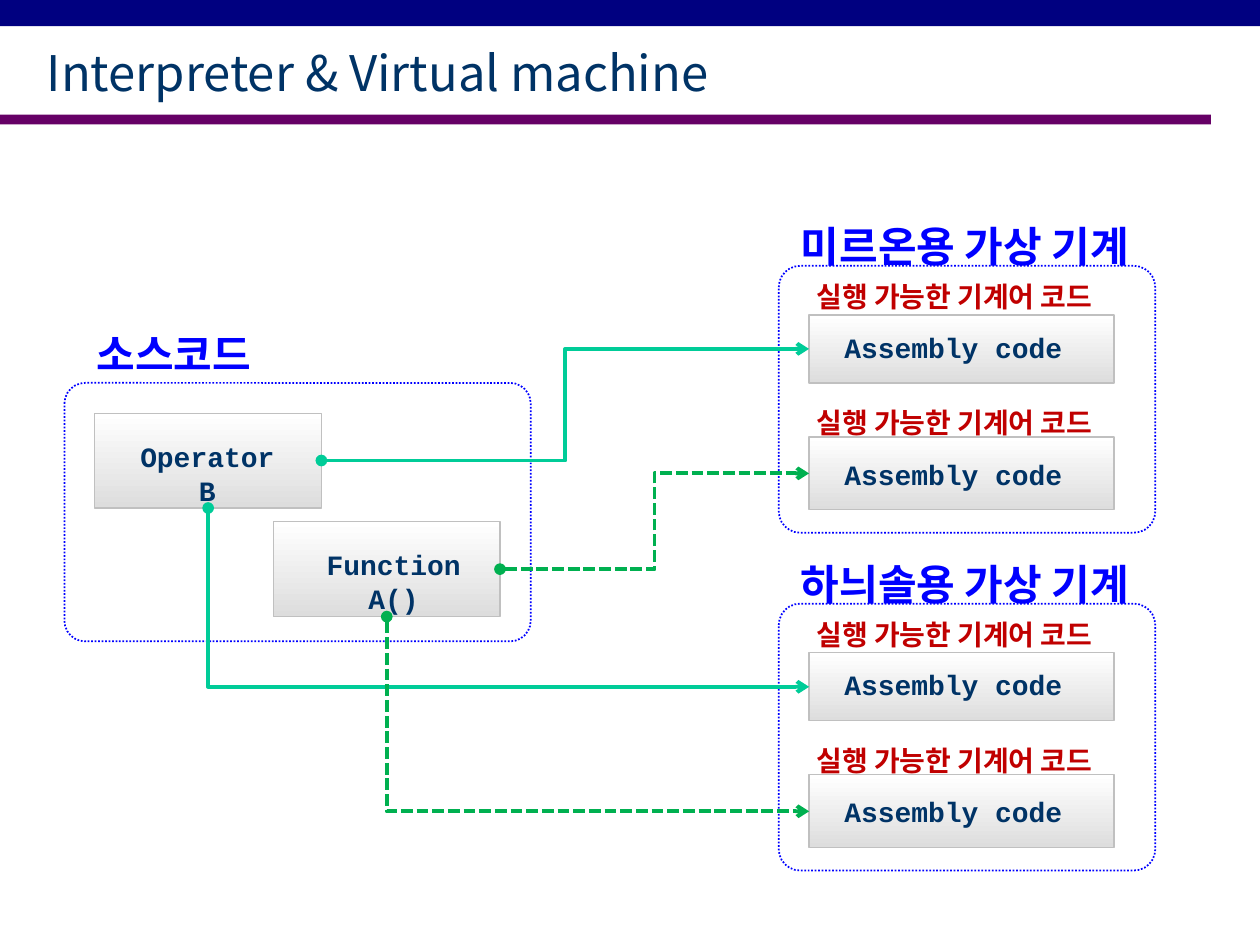
from lxml import etree
from pptx import Presentation
from pptx.dml.color import RGBColor
from pptx.enum.dml import MSO_LINE
from pptx.enum.shapes import MSO_CONNECTOR, MSO_SHAPE
from pptx.enum.text import MSO_ANCHOR, MSO_AUTO_SIZE, PP_ALIGN
from pptx.oxml.ns import qn
from pptx.util import Cm, Pt

RECTANGLE = MSO_SHAPE.RECTANGLE
ROUNDED = MSO_SHAPE.ROUNDED_RECTANGLE
ELBOW = MSO_CONNECTOR.ELBOW
DOTTED = MSO_LINE.ROUND_DOT
DASHED = MSO_LINE.SQUARE_DOT
LEFT, CENTER = PP_ALIGN.LEFT, PP_ALIGN.CENTER
MIDDLE = MSO_ANCHOR.MIDDLE
GROW = MSO_AUTO_SIZE.SHAPE_TO_FIT_TEXT
LEFT_SIDE, BOTTOM_SIDE, RIGHT_SIDE = 1, 2, 3
SANS, MONO = "Noto Sans CJK KR", "Courier New"
MACHINE_STEP = 6.81
COLORS = {
    "navy": "000080",
    "purple": "660066",
    "ink": "003366",
    "blue": "0000FF",
    "red": "C00000",
    "border": "C0C0C0",
    "light": "FFFFFF",
    "shade": "DDDDDD",
    "teal": "00CC98",
    "green": "00B050",
}


def color(name):
    """Return the named colour."""
    return RGBColor.from_string(COLORS[name])


def add_span(para, text, size, font, ink, bold=True):
    """Add one formatted run, with the font set for Korean too."""
    span = para.add_run()
    span.text = text
    span.font.size = Pt(size)
    span.font.name = font
    span.font.bold = bold
    span.font.color.rgb = color(ink)
    etree.SubElement(span.font._element, qn("a:ea"), typeface=font)


def add_title(page, text):
    """Place and fill the title placeholder."""
    title = page.shapes.title
    title.left, title.top, title.width, title.height = Cm(0.69), Cm(0.71), Cm(22.81), Cm(1.47)
    title.text_frame.vertical_anchor = MIDDLE
    para = title.text_frame.paragraphs[0]
    para.alignment = LEFT
    add_span(para, text, 28, SANS, "ink", bold=False)


def add_label(page, place, text, size, font, ink, align=LEFT, before=4):
    """Add a bold text box."""
    box = page.shapes.add_textbox(*map(Cm, place))
    frame = box.text_frame
    frame.word_wrap = True
    frame.auto_size = GROW
    para = frame.paragraphs[0]
    para.alignment = align
    para.space_before = Pt(before)
    add_span(para, text, size, font, ink)


def add_heading(page, place, text):
    """Add the heading above a frame."""
    add_label(page, place, text, 24, SANS, "blue", before=6)


def add_bar(page, place, fill):
    """Add a plain bar."""
    bar = page.shapes.add_shape(RECTANGLE, *map(Cm, place))
    bar.shadow.inherit = False
    bar.fill.solid()
    bar.fill.fore_color.rgb = color(fill)
    bar.line.fill.background()


def add_frame(page, place):
    """Add a dotted rounded frame."""
    frame = page.shapes.add_shape(ROUNDED, *map(Cm, place))
    frame.adjustments[0] = 0.08
    frame.shadow.inherit = False
    frame.fill.background()
    frame.line.color.rgb = color("blue")
    frame.line.width = Pt(1)
    frame.line.dash_style = DOTTED


def add_code_box(page, place, text, text_place):
    """Add a shaded box with its code text and return the box."""
    box = page.shapes.add_shape(RECTANGLE, *map(Cm, place))
    box.shadow.inherit = False
    box.fill.gradient()
    box.fill.gradient_angle = 270
    for stop, name in zip(box.fill.gradient_stops, ("light", "shade")):
        stop.color.rgb = color(name)
    box.line.color.rgb = color("border")
    box.line.width = Pt(0.75)
    add_label(page, text_place, text, 16, MONO, "ink", CENTER)
    return box


def add_machine(page, heading, top):
    """Add a virtual machine and return its two code boxes."""
    add_frame(page, (15.7, top, 7.59, 5.38))
    add_heading(page, (15.7, top - 1.04, 9.7, 1.27), heading)
    boxes = []
    for note, box, height, text in ((0.15, 0.99, 1.37, 1.17), (2.69, 3.45, 1.47, 3.73)):
        boxes.append(add_code_box(page, (16.31, top + box, 6.15, height),
                                  "Assembly code", (16.54, top + text, 5.36, 0.94)))
        add_label(page, (16.21, top + note, 7.52, 0.94), "실행 가능한 기계어 코드", 16, SANS, "red")
    return boxes


def turn_down_then_right(link):
    """Make an elbow leave downwards and turn once to the right."""
    left, top, width, height = link.left, link.top, link.width, link.height
    link.left = left + (width - height) // 2
    link.top = top + (height - width) // 2
    link.width, link.height = height, width
    properties = link._element.spPr
    properties.find(qn("a:prstGeom")).set("prst", "bentConnector2")
    transform = properties.find(qn("a:xfrm"))
    transform.set("rot", "16200000")
    transform.set("flipH", "1")


def add_link(page, source, side, target, ink, dash=None):
    """Join two boxes with an elbow arrow."""
    link = page.shapes.add_connector(ELBOW, 0, 0, 0, 0)
    link.begin_connect(source, side)
    link.end_connect(target, LEFT_SIDE)
    if side == BOTTOM_SIDE:
        turn_down_then_right(link)
    link.line.color.rgb = color(ink)
    link.line.width = Pt(2.25)
    if dash:
        link.line.dash_style = dash
    properties = link._element.spPr
    outline = properties.find(qn("a:ln"))
    etree.SubElement(outline, qn("a:headEnd"), type="oval")
    etree.SubElement(outline, qn("a:tailEnd"), type="arrow")
    etree.SubElement(properties, qn("a:effectLst"))


def main():
    """Build the slide and save it."""
    deck = Presentation()
    deck.slide_width, deck.slide_height = Cm(25.4), Cm(19.05)
    page = deck.slides.add_slide(deck.slide_layouts[5])

    add_bar(page, (0, 2.31, 24.41, 0.2), "purple")
    add_bar(page, (0, 0, 25.4, 0.53), "navy")
    add_title(page, "Interpreter & Virtual machine")

    add_frame(page, (1.3, 7.72, 9.4, 5.21))
    add_heading(page, (1.7, 6.5, 4.6, 1.27), "소스코드")
    function = add_code_box(page, (5.51, 10.52, 4.57, 1.91), "Function A()", (5.94, 10.92, 3.99, 1.63))
    operator = add_code_box(page, (1.91, 8.33, 4.57, 1.91), "Operator B", (2.29, 8.74, 3.78, 1.63))

    machines = ((" 미르온용 가상 기계", RIGHT_SIDE), (" 하늬솔용 가상 기계", BOTTOM_SIDE))
    for index, (heading, side) in enumerate(machines):
        first, second = add_machine(page, heading, 5.36 + index * MACHINE_STEP)
        add_link(page, operator, side, first, "teal")
        add_link(page, function, side, second, "green", DASHED)

    deck.save("out.pptx")


if __name__ == "__main__":
    main()
